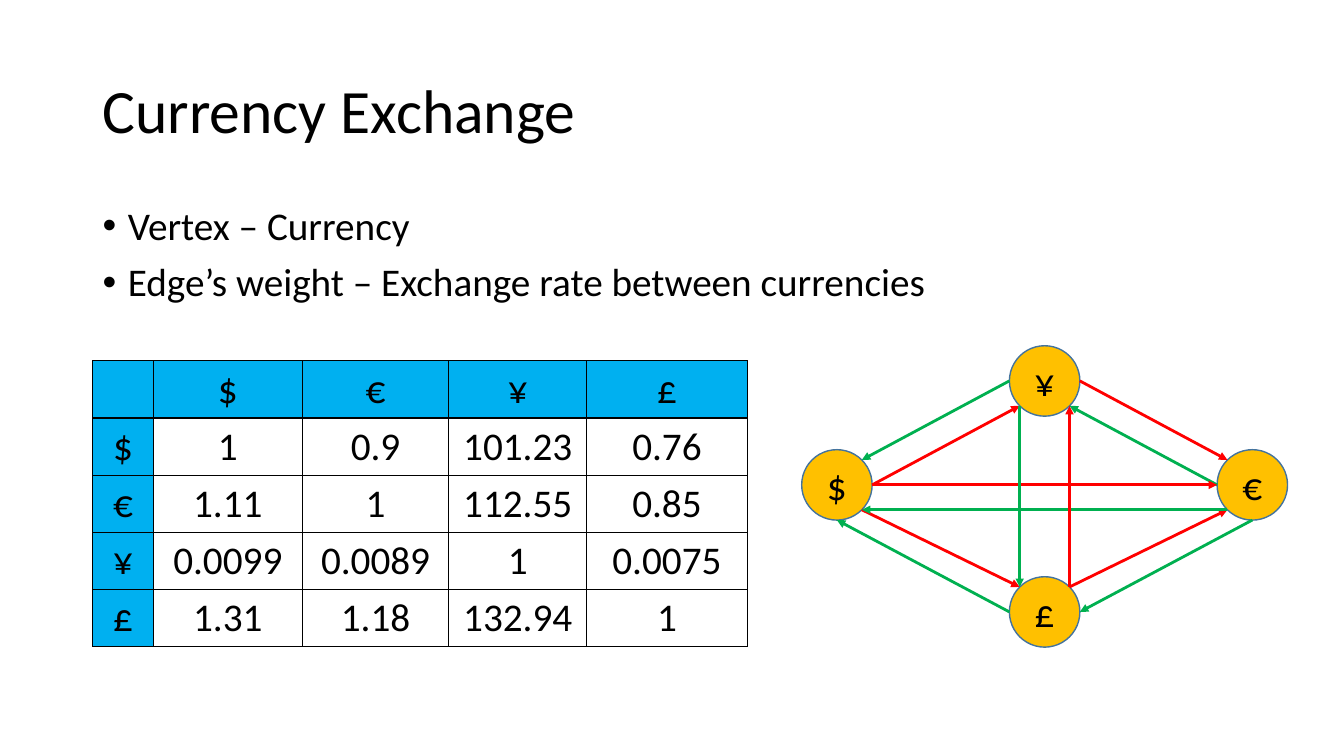
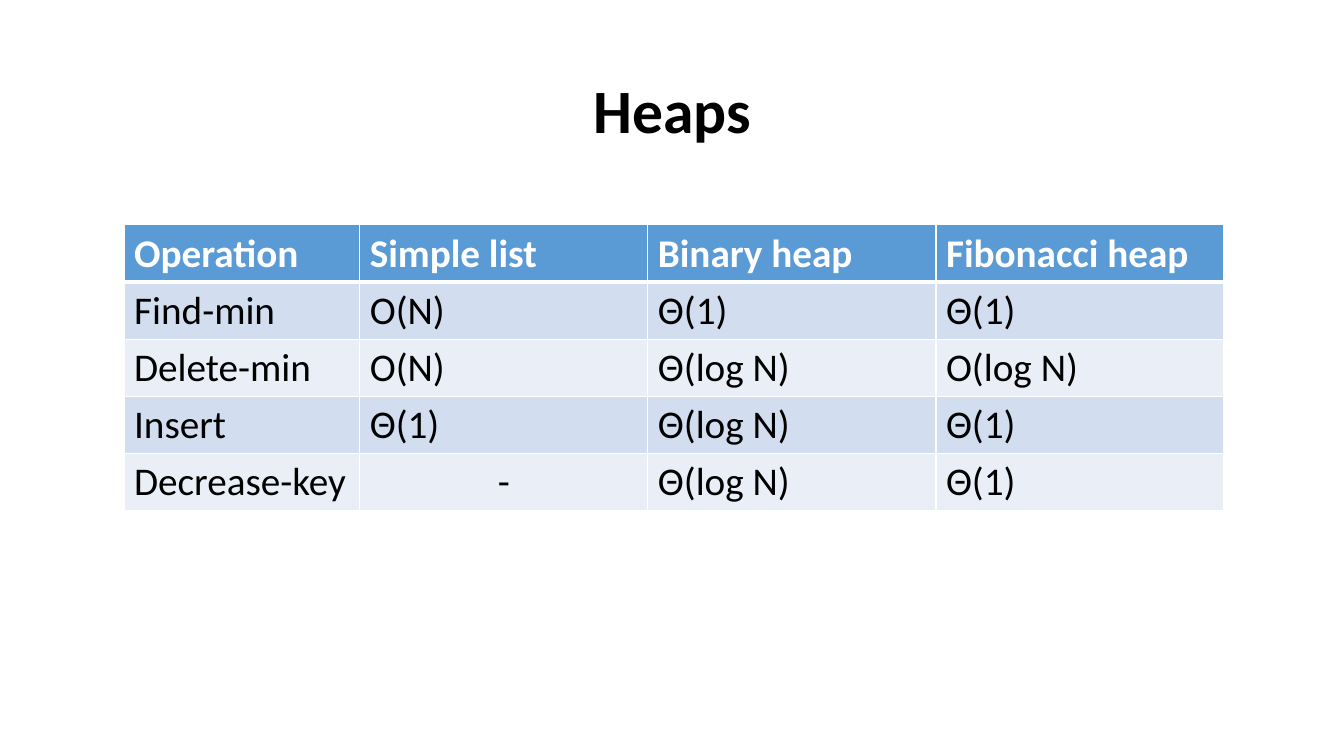
from collections import namedtuple
from math import cos, pi, sin

from lxml.etree import SubElement as Sub
from pptx import Presentation
from pptx.dml.color import RGBColor as Rgb
from pptx.enum.shapes import MSO_CONNECTOR as Link, MSO_SHAPE as Form
from pptx.enum.text import MSO_ANCHOR as Anchor, PP_ALIGN as Align
from pptx.oxml.ns import qn
from pptx.util import Inches, Pt

Box = namedtuple("Box", "left top width height")
Look = namedtuple("Look", "head side odd even edge ink rule align")


class Theme:
    """Colours, font and type sizes of both slides."""
    font = "Calibri"
    title, body = 44, 28
    black, white = "000000", "FFFFFF"
    cyan, blue, pale, mist = "00B0F0", "5B9BD5", "D2DEEF", "EAEFF7"
    gold, rim = "FFC000", "43739E"
    red, green = "FF0000", "00B050"


deck = Presentation()
deck.slide_width, deck.slide_height = Inches(13.33), Inches(7.5)


def share(left, top, width, height):
    """Return a box given in percent of the slide's size."""
    wide, high = deck.slide_width / 100, deck.slide_height / 100
    return Box(int(left * wide), int(top * high), int(width * wide), int(height * high))


def write(para, text, size=Theme.body, ink=Theme.black, bold=False, align=Align.LEFT):
    """Add one styled run to a paragraph."""
    para.alignment = align
    run = para.add_run()
    run.text = text
    font = run.font
    font.name, font.size, font.bold = Theme.font, Pt(size), bold
    font.color.rgb = Rgb.from_string(ink)


def frame(slide, box, anchor):
    """Add a wrapping text box and return its text frame."""
    text = slide.shapes.add_textbox(*box).text_frame
    text.word_wrap, text.vertical_anchor = True, anchor
    return text


def page(title, bold=False, align=Align.LEFT):
    """Add a blank slide with its title."""
    slide = deck.slides.add_slide(deck.slide_layouts[6])
    para = frame(slide, share(6.9, 5.33, 86.25, 19.33), Anchor.MIDDLE).paragraphs[0]
    para.line_spacing = 0.9
    write(para, title, Theme.title, bold=bold, align=align)
    return slide


def points(slide, box, lines):
    """Add a bulleted list."""
    text = frame(slide, box, Anchor.TOP)
    for i, line in enumerate(lines):
        para = text.add_paragraph() if i else text.paragraphs[0]
        para.line_spacing, para.space_before = 0.9, Pt(10)
        write(para, line)
        props = para._p.get_or_add_pPr()
        props.set("marL", str(Inches(0.25)))
        props.set("indent", str(-Inches(0.25)))
        Sub(props, qn("a:buFont"), typeface="Arial")
        Sub(props, qn("a:buChar"), char="•")


def border(cell, ink, top, bottom):
    """Draw the four borders of a cell, with widths in points."""
    props = cell._tc.get_or_add_tcPr()
    for side, width in zip("LRTB", (1, 1, top, bottom)):
        line = Sub(props, qn("a:ln" + side), w=str(Pt(width)))
        Sub(Sub(line, qn("a:solidFill")), qn("a:srgbClr"), val=ink)


def paint(cell, ink):
    """Fill a cell, or leave it clear when there is no colour."""
    if ink:
        cell.fill.solid()
        cell.fill.fore_color.rgb = Rgb.from_string(ink)
    else:
        cell.fill.background()


def grid(slide, box, cols, rows, look):
    """Add a table with columns in the given proportions."""
    table = slide.shapes.add_table(len(rows), len(cols), *box).table
    table.first_row = table.horz_banding = False
    for col, part in zip(table.columns, cols):
        col.width = int(box.width * part / sum(cols))
    for r, row in enumerate(rows):
        for c, text in enumerate(row):
            cell = table.cell(r, c)
            border(cell, look.edge, look.rule if r == 1 else 1, 1 if r else look.rule)
            band = look.odd if r % 2 else look.even
            paint(cell, look.head if r == 0 else look.side if c == 0 and look.side else band)
            if text:
                write(cell.text_frame.paragraphs[0], text,
                      ink=Theme.black if r else look.ink,
                      bold=r == 0 and look.ink == Theme.white,
                      align=Align.CENTER if text == "-" else look.align)


def node(slide, box, text):
    """Add one round vertex."""
    disc = slide.shapes.add_shape(Form.OVAL, *box)
    disc.shadow.inherit = False
    disc.fill.solid()
    disc.fill.fore_color.rgb = Rgb.from_string(Theme.gold)
    disc.line.color.rgb = Rgb.from_string(Theme.rim)
    disc.line.width = Pt(1)
    disc.text_frame.vertical_anchor = Anchor.MIDDLE
    write(disc.text_frame.paragraphs[0], text, align=Align.CENTER)


def site(box, eighth):
    """Return a point on a disc, in eighths of a turn clockwise from the right."""
    rad, turn = box.width / 2, eighth * pi / 4
    return (int(box.left + rad * (1 + cos(turn))), int(box.top + rad * (1 + sin(turn))))


def arrow(slide, start, end, ink):
    """Add a straight arrow."""
    link = slide.shapes.add_connector(Link.STRAIGHT, *start, *end)
    link.line.color.rgb = Rgb.from_string(ink)
    link.line.width = Pt(2)
    Sub(link.line._get_or_add_ln(), qn("a:tailEnd"), type="triangle")
    Sub(link._element.spPr, qn("a:effectLst"))


def graph(slide, box, spots, edges):
    """Add a directed graph whose spots are shares of the free room."""
    size = int(box.width * 0.145)
    discs = {name: Box(int(box.left + x * (box.width - size)),
                       int(box.top + y * (box.height - size)), size, size)
             for name, (x, y) in spots.items()}
    for name, disc in discs.items():
        node(slide, disc, name)
    for tail, out, head, into, ink in edges:
        arrow(slide, site(discs[tail], out), site(discs[head], into), ink)


def money():
    """Build the currency slide."""
    slide = page("Currency Exchange")
    points(slide, share(6.9, 26.67, 86.25, 19.2),
           ["Vertex – Currency", "Edge’s weight – Exchange rate between currencies"])
    rates = [
        ("", "$", "€", "¥", "£"),
        ("$", "1", "0.9", "101.23", "0.76"),
        ("€", "1.11", "1", "112.55", "0.85"),
        ("¥", "0.0099", "0.0089", "1", "0.0075"),
        ("£", "1.31", "1.18", "132.94", "1"),
    ]
    look = Look(Theme.cyan, Theme.cyan, None, None, Theme.black, Theme.black, 1, Align.CENTER)
    grid(slide, share(6.9, 47.73, 48.7, 37.73), (0.6, 1.48, 1.45, 1.37, 1.59), rates, look)
    spots = {"$": (0, 0.45), "€": (1, 0.45), "£": (0.5, 1), "¥": (0.5, 0)}
    red, green = Theme.red, Theme.green
    edges = [
        ("$", 0, "¥", 3, red), ("¥", 4, "$", 7, green),
        ("¥", 0, "€", 5, red), ("€", 4, "¥", 1, green),
        ("$", 1, "£", 5, red), ("£", 4, "$", 2, green),
        ("£", 7, "€", 3, red), ("€", 2, "£", 0, green),
        ("$", 0, "€", 4, red), ("€", 3, "$", 1, green),
        ("¥", 3, "£", 5, green), ("£", 7, "¥", 1, red),
    ]
    graph(slide, share(59.65, 45.73, 36.15, 39.87), spots, edges)


def heaps():
    """Build the heap comparison slide."""
    slide = page("Heaps", True, Align.CENTER)
    costs = [
        ("Operation", "Simple list", "Binary heap", "Fibonacci heap"),
        ("Find-min", "O(N)", "Θ(1)", "Θ(1)"),
        ("Delete-min", "O(N)", "Θ(log N)", "O(log N)"),
        ("Insert", "Θ(1)", "Θ(log N)", "Θ(1)"),
        ("Decrease-key", "-", "Θ(log N)", "Θ(1)"),
    ]
    look = Look(Theme.blue, None, Theme.pale, Theme.mist, Theme.white, Theme.white, 3, Align.LEFT)
    grid(slide, share(9.23, 29.73, 81.85, 37.73), (2.34, 2.86, 2.86, 2.86), costs, look)


money()
heaps()
deck.save("out.pptx")
